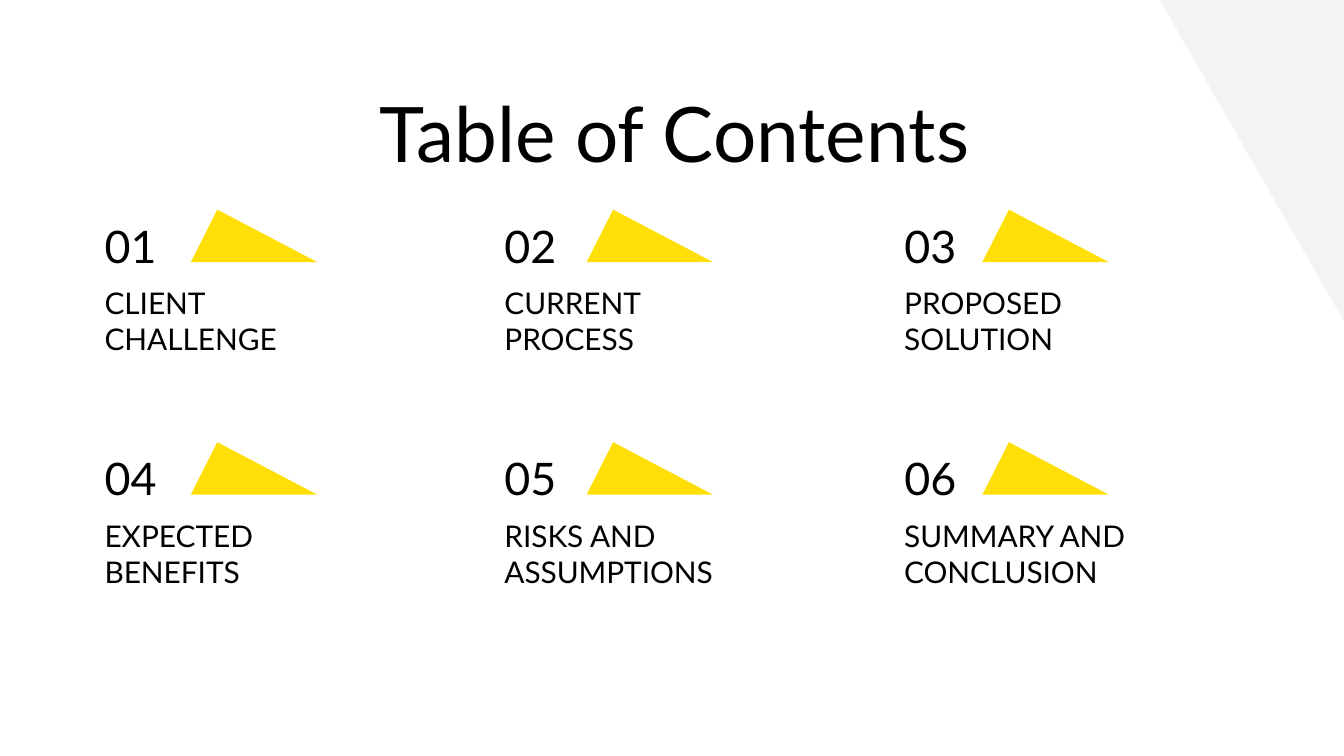
from pptx import Presentation
from pptx.dml.color import RGBColor
from pptx.enum.shapes import MSO_SHAPE
from pptx.enum.text import MSO_ANCHOR, MSO_AUTO_SIZE, PP_ALIGN
from pptx.util import Inches, Pt

COLORS = {"background": "FFFFFF", "text": "000000", "accent": "FFDF06", "corner": "F3F3F3"}
FONT = "Lato"
SECTIONS = [
    "CLIENT\nCHALLENGE",
    "CURRENT\nPROCESS",
    "PROPOSED SOLUTION",
    "EXPECTED\nBENEFITS",
    "RISKS AND ASSUMPTIONS",
    "SUMMARY AND CONCLUSION",
]
COLUMNS = 3
TEXT_PITCH = 5.95 / (COLUMNS - 1)
TRIANGLE_PITCH = 5.89 / (COLUMNS - 1)
ROW_PITCH = 1.73


def set_attributes(target, values):
    for name, value in values.items():
        setattr(target, name, value)


def place(shape, left, top, width, height):
    set_attributes(shape, {
        "left": Inches(left),
        "top": Inches(top),
        "width": Inches(width),
        "height": Inches(height),
    })


def set_fill(fill, color):
    fill.solid()
    fill.fore_color.rgb = RGBColor.from_string(COLORS[color])


def write_text(shape, text, size, alignment=PP_ALIGN.LEFT, anchor=MSO_ANCHOR.TOP):
    frame = shape.text_frame
    frame.text = text
    margins = dict.fromkeys(
        ["margin_left", "margin_top", "margin_right", "margin_bottom"], Inches(0.1))
    set_attributes(frame, {
        "word_wrap": True,
        "auto_size": MSO_AUTO_SIZE.NONE,
        "vertical_anchor": anchor,
        **margins,
    })
    for paragraph in frame.paragraphs:
        paragraph.alignment = alignment
        set_attributes(paragraph.font, {"name": FONT, "size": Pt(size)})
        paragraph.font.color.rgb = RGBColor.from_string(COLORS["text"])


def add_title(slide, text):
    title = slide.shapes.title
    place(title, 0.59, 0.54, 8.86, 0.63)
    write_text(title, text, 41, PP_ALIGN.CENTER)


def add_text(slide, text, box, size, anchor=MSO_ANCHOR.TOP):
    shape = slide.shapes.add_textbox(*map(Inches, box))
    write_text(shape, text, size, anchor=anchor)


def add_filled_shape(slide, kind, box, color):
    shape = slide.shapes.add_shape(kind, *map(Inches, box))
    shape.shadow.inherit = False
    set_fill(shape.fill, color)
    shape.line.fill.background()
    return shape


def add_section(slide, index, label):
    row, column = divmod(index, COLUMNS)
    left = 0.68 + column * TEXT_PITCH
    offset = row * ROW_PITCH
    triangle_box = (1.42 + column * TRIANGLE_PITCH, 1.56 + offset, 0.94, 0.39)
    triangle = add_filled_shape(
        slide, MSO_SHAPE.ISOSCELES_TRIANGLE, triangle_box, "accent")
    triangle.adjustments[0] = 0.21
    add_text(slide, f"{index + 1:02d}", (left, 1.63 + offset, 1.18, 0.39), 24,
             MSO_ANCHOR.MIDDLE)
    add_text(slide, label, (left, 2.02 + offset, 2.36, 0.68), 16)


def main():
    presentation = Presentation()
    set_attributes(presentation, {
        "slide_width": Inches(10),
        "slide_height": Inches(10) * 9 // 16,
    })
    slide = presentation.slides.add_slide(presentation.slide_layouts[5])
    set_fill(slide.background.fill, "background")
    corner = add_filled_shape(
        slide, MSO_SHAPE.RIGHT_TRIANGLE, (8.63, 0, 1.37, 2.39), "corner")
    corner.rotation = 180
    add_title(slide, "Table of Contents")
    for index, label in enumerate(SECTIONS):
        add_section(slide, index, label)
    presentation.save("out.pptx")


if __name__ == "__main__":
    main()
